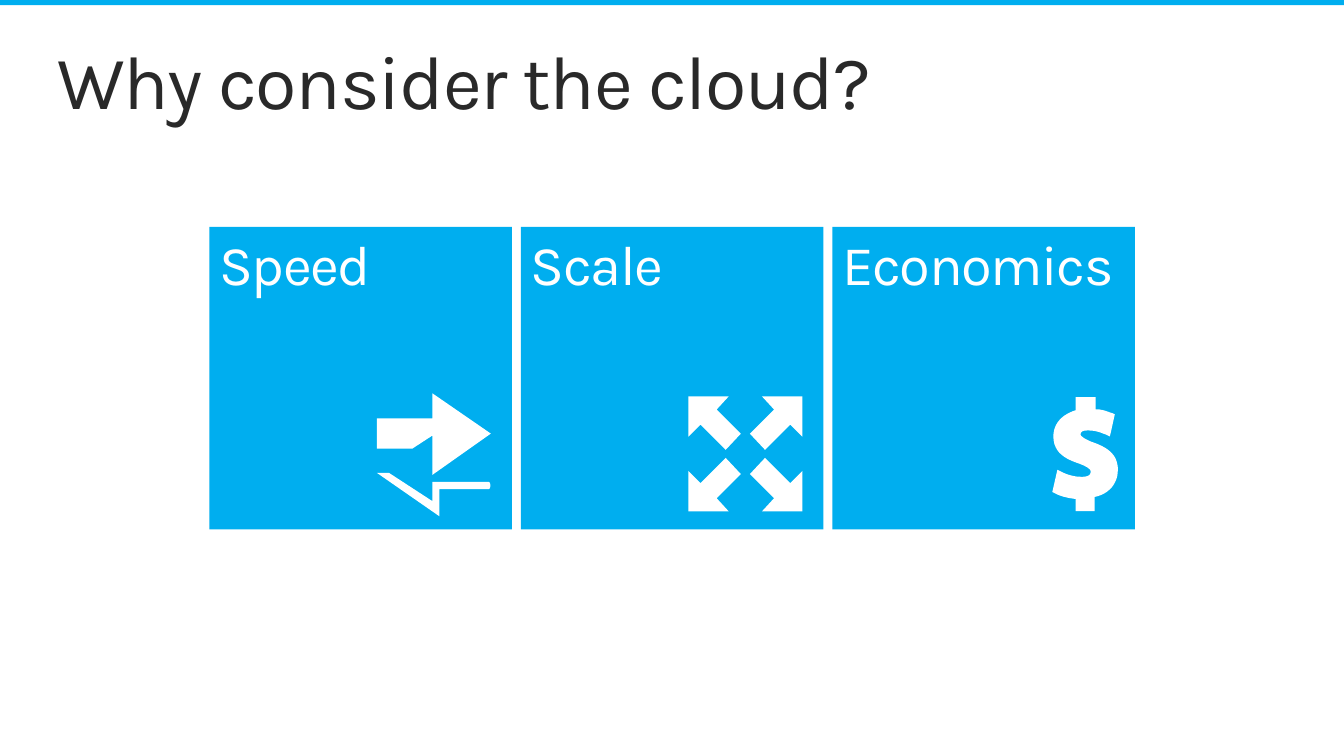
from dataclasses import dataclass

from pptx import Presentation
from pptx.dml.color import RGBColor
from pptx.enum import shapes, text
from pptx.util import Cm, Pt


@dataclass(frozen=True)
class Theme:
    font: str = "Karla"
    accent: RGBColor = RGBColor(0x00, 0xAE, 0xEF)
    ink: RGBColor = RGBColor(0x29, 0x29, 0x29)
    paper: RGBColor = RGBColor(0xFF, 0xFF, 0xFF)
    title: Pt = Pt(54)
    label: Pt = Pt(40)


THEME = Theme()
ICON_UNIT = Cm(2.54) / 100
FINE = 10  # steps per icon unit, which keeps the curves smooth

# Icon outlines: pairs are corners, six numbers are a Bézier segment.
FORWARD_ARROW = [(113, 40), (55, 0), (55, 25), (0, 25), (0, 55), (35, 55), (55, 42), (55, 81)]
RETURN_ARROW = [(12, 79), (55, 107), (55, 88), (111, 88), (113, 88, 113, 95, 111, 95),
                (62, 95), (62, 122), (0, 79)]
CORNER_ARROW = [(0, 0), (0, 40), (12, 28), (37, 53), (52, 37), (28, 13), (40, 0)]
DOLLAR = [
    (42, 113), (42, 99),
    (56, 96, 65, 86, 65, 72), (65, 59, 58, 51, 41, 45), (35, 43, 28, 39, 28, 37),
    (28, 33, 33, 33, 36, 33), (44, 33, 50, 36, 53, 37),
    (57, 39), (58, 35), (62, 17), (60, 16),
    (56, 15, 51, 12, 43, 12), (43, 0), (23, 0), (23, 13),
    (10, 17, 1, 26, 1, 39), (1, 56, 15, 62, 27, 66), (37, 70, 38, 72, 38, 74),
    (38, 78, 34, 79, 29, 79), (20, 79, 13, 76, 9, 74),
    (5, 72), (0, 94), (2, 95), (7, 98, 15, 100, 23, 101), (23, 113),
]


def mirrored(outline, width, height, flip_x, flip_y):
    return [(width - x if flip_x else x, height - y if flip_y else y) for x, y in outline]


SCALE_ARROWS = [mirrored(CORNER_ARROW, 113, 114, fx, fy)
                for fy in (False, True) for fx in (False, True)]

# Label, icon outlines, icon offset inside the tile
TILES = [
    ("Speed", [FORWARD_ARROW, RETURN_ARROW], Cm(4.22), Cm(4.19)),
    ("Scale", SCALE_ARROWS, Cm(4.22), Cm(4.27)),
    ("Economics", [DOLLAR], Cm(5.54), Cm(4.29)),
]


def flatten(outline, steps=12):
    """Turn corners and Bézier segments into a list of points."""
    points = []
    for part in outline:
        if len(part) == 2:
            points.append(part)
            continue
        x0, y0 = points[-1]
        x1, y1, x2, y2, x3, y3 = part
        for i in range(1, steps + 1):
            t = i / steps
            a, b, c, d = (1 - t) ** 3, 3 * t * (1 - t) ** 2, 3 * t * t * (1 - t), t ** 3
            points.append((a * x0 + b * x1 + c * x2 + d * x3,
                           a * y0 + b * y1 + c * y2 + d * y3))
    return [(x * FINE, y * FINE) for x, y in points]


def paint(sp, color):
    sp.shadow.inherit = False
    sp.fill.solid()
    sp.fill.fore_color.rgb = color
    sp.line.fill.background()


def add_block(s, left, top, width, height):
    sp = s.shapes.add_shape(shapes.MSO_SHAPE.RECTANGLE, left, top, width, height)
    paint(sp, THEME.accent)
    return sp


def add_icon(s, outlines, left, top):
    """Draw the outlines as one white shape measured from left, top."""
    first, *rest = [flatten(outline) for outline in outlines]
    builder = s.shapes.build_freeform(*first[0], scale=ICON_UNIT / FINE)
    builder.add_line_segments(first[1:])
    for points in rest:
        builder.move_to(*points[0])
        builder.add_line_segments(points[1:])
    paint(builder.convert_to_shape(left, top), THEME.paper)


def write(sp, wording, size, color, inset):
    tf = sp.text_frame
    tf.word_wrap = True
    tf.auto_size = text.MSO_AUTO_SIZE.NONE
    tf.vertical_anchor = text.MSO_ANCHOR.TOP
    tf.margin_left = tf.margin_top = tf.margin_right = tf.margin_bottom = inset
    p = tf.paragraphs[0]
    p.alignment = text.PP_ALIGN.LEFT
    p.line_spacing = 0.9
    p.font.name = THEME.font
    p.font.size = size
    p.font.color.rgb = color
    r = p.add_run()
    r.text = wording
    r._r.get_or_add_rPr().set("spc", "-100")


def add_title(s, left, top, width, height):
    sp = s.shapes.title
    sp.left, sp.top, sp.width, sp.height = left, top, width, height
    write(sp, "Why consider the cloud?", THEME.title, THEME.ink, 0)


def add_tiles(s, left, top, side, gap):
    for i, (label, outlines, dx, dy) in enumerate(TILES):
        x = left + i * (side + gap)
        write(add_block(s, x, top, side, side), label, THEME.label, THEME.paper, Cm(0.25))
        add_icon(s, outlines, x + dx, top + dy)


def main():
    prs = Presentation()
    prs.slide_width, prs.slide_height = Cm(33.87), Cm(19.05)
    s = prs.slides.add_slide(prs.slide_layouts[5])
    add_block(s, 0, 0, prs.slide_width, Cm(0.13))
    add_title(s, Cm(1.45), Cm(1.12), Cm(30.96), Cm(2.11))
    add_tiles(s, Cm(5.28), Cm(5.72), Cm(7.62), Cm(0.23))
    prs.save("out.pptx")


if __name__ == "__main__":
    main()
